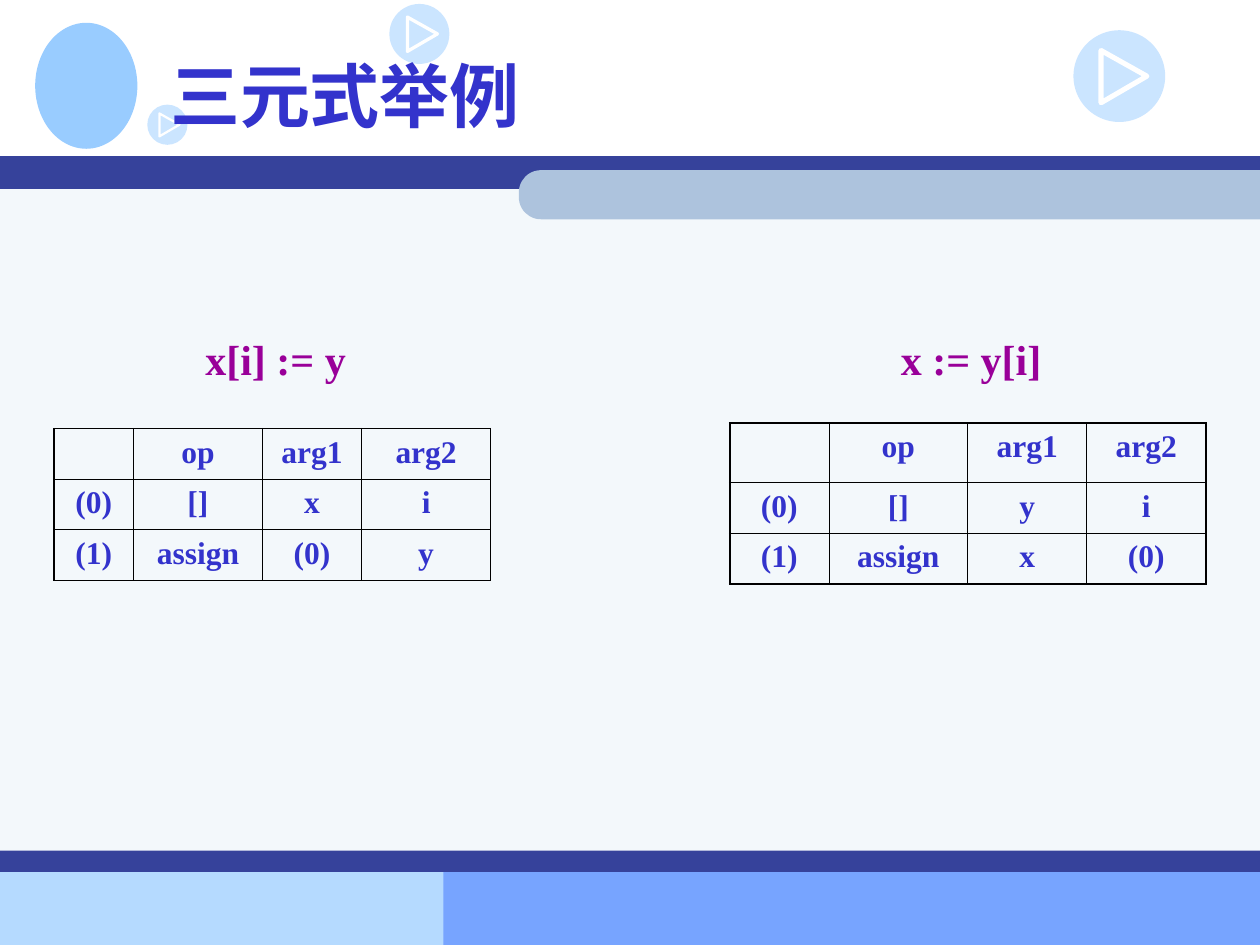
from typing import NamedTuple

import pptx
import pptx.dml.color
import pptx.enum.shapes
import pptx.enum.text
import pptx.oxml
import pptx.oxml.ns
import pptx.util
from lxml import etree

Cm = pptx.util.Cm
Pt = pptx.util.Pt
ShapeKind = pptx.enum.shapes.MSO_SHAPE

INDIGO = "3333CC"
NAVY = "36429B"
SKY = "99CCFF"
PURPLE = "990099"
WHITE = "FFFFFF"
BLACK = "000000"
LATIN = "Times New Roman"
CHINESE = "Noto Sans CJK SC"


class Box(NamedTuple):
    """Left, top, width and height in centimetres."""
    left: float
    top: float
    width: float
    height: float

    def lengths(self) -> list:
        return [Cm(value) for value in self]


class Panel(NamedTuple):
    box: Box
    color: str


class PlayButton(NamedTuple):
    left: float
    top: float
    diameter: float


class Label(NamedTuple):
    text: str
    box: Box
    size: float
    font: str
    color: str
    anchor: pptx.enum.text.MSO_ANCHOR


class TripleTable(NamedTuple):
    left: float
    top: float
    columns: list
    rows: list
    cells: list


PANELS = [
    Panel(Box(0, 17.58, 10.8, 1.47), "B5DAFF"),
    Panel(Box(8.94, 17.55, 16.46, 1.5), "77A4FF"),
    Panel(Box(0, 3.56, 25.4, 13.99), "F3F8FB"),
    Panel(Box(0, 3.15, 25.4, 0.66), NAVY),
    Panel(Box(0, 17.15, 25.4, 0.43), NAVY),
]
HEADER_TAB = Box(10.46, 3.43, 14.94, 0.99)
EMBLEM = Box(0.71, 0.46, 2.06, 2.54)
PLAY_BUTTONS = [
    PlayButton(7.85, 0.08, 1.21),
    PlayButton(21.64, 0.61, 1.85),
    PlayButton(2.97, 2.11, 0.81),
]
MIDDLE = pptx.enum.text.MSO_ANCHOR.MIDDLE
TOP = pptx.enum.text.MSO_ANCHOR.TOP
LABELS = [
    Label("三元式举例", Box(3.18, 0.43, 21.59, 2.97), 40, CHINESE, INDIGO, MIDDLE),
    Label("x[i] := y", Box(3.89, 6.6, 7, 1.27), 24, LATIN, PURPLE, TOP),
    Label("x := y[i]", Box(17.91, 6.6, 3.81, 1.27), 24, LATIN, PURPLE, TOP),
]
HEADINGS = ["", "op", "arg1", "arg2"]
TABLES = [
    TripleTable(1.09, 8.64, [1.6, 2.6, 2, 2.6], [1.02, 1.02, 1.02],
                [HEADINGS, ["(0)", "[]", "x", "i"], ["(1)", "assign", "(0)", "y"]]),
    TripleTable(14.71, 8.53, [2, 2.8, 2.4, 2.4], [1.2, 1.02, 1.02],
                [HEADINGS, ["(0)", "[]", "y", "i"], ["(1)", "assign", "x", "(0)"]]),
]


def rgb(color: str) -> pptx.dml.color.RGBColor:
    return pptx.dml.color.RGBColor.from_string(color)


def apply_format(target, values: dict) -> None:
    for name, value in values.items():
        setattr(target, name, value)


def style_font(font, size: float, name: str, color: str) -> None:
    apply_format(font, {"size": Pt(size), "name": name, "bold": True})
    font.color.rgb = rgb(color)


def add_filled(slide, kind, box: Box, color: str):
    shape = slide.shapes.add_shape(kind, *box.lengths())
    shape.shadow.inherit = False
    shape.fill.solid()
    shape.fill.fore_color.rgb = rgb(color)
    shape.line.fill.background()
    return shape


def add_header_tab(slide, box: Box, color: str) -> None:
    """Add a bar rounded on its left side, as an upright shape turned left."""
    upright = Box(box.left + (box.width - box.height) / 2,
                  box.top + (box.height - box.width) / 2, box.height, box.width)
    shape = add_filled(slide, ShapeKind.ROUND_2_SAME_RECTANGLE, upright, color)
    shape.adjustments[0] = 0.45
    shape.rotation = 270


def add_play_button(slide, button: PlayButton) -> None:
    left, top, diameter = button
    disc = add_filled(slide, ShapeKind.OVAL, Box(left, top, diameter, diameter), SKY)
    color_element = disc.fill._xPr.find(".//" + pptx.oxml.ns.qn("a:srgbClr"))
    etree.SubElement(color_element, pptx.oxml.ns.qn("a:alpha"), val="50000")

    corners = [(Cm(left + x * diameter), Cm(top + y * diameter))
               for x, y in [(0.3, 0.22), (0.8, 0.5), (0.3, 0.79)]]
    builder = slide.shapes.build_freeform(*corners[0])
    builder.add_line_segments(corners[1:], close=True)
    triangle = builder.convert_to_shape()
    triangle.shadow.inherit = False
    triangle.fill.background()
    triangle.line.color.rgb = rgb(WHITE)
    triangle.line.width = Cm(0.055 * diameter)
    etree.SubElement(triangle.line._get_or_add_ln(), pptx.oxml.ns.qn("a:round"))


def add_label(slide, label: Label) -> None:
    frame = slide.shapes.add_textbox(*label.box.lengths()).text_frame
    apply_format(frame, {"word_wrap": True, "vertical_anchor": label.anchor})
    run = frame.paragraphs[0].add_run()
    run.text = label.text
    style_font(run.font, label.size, label.font, label.color)
    etree.SubElement(run.font._element, pptx.oxml.ns.qn("a:ea"), typeface=label.font)


def set_border(cell, side: str, width: float) -> None:
    cell._tc.get_or_add_tcPr().append(pptx.oxml.parse_xml(
        f'<a:ln{side} {pptx.oxml.ns.nsdecls("a")} w="{Pt(width)}"><a:solidFill>'
        f'<a:srgbClr val="{BLACK}"/></a:solidFill></a:ln{side}>'))


def add_triple_table(slide, spec: TripleTable) -> None:
    last_row, last_column = len(spec.rows) - 1, len(spec.columns) - 1
    box = Box(spec.left, spec.top, sum(spec.columns), sum(spec.rows))
    table = slide.shapes.add_table(last_row + 1, last_column + 1, *box.lengths()).table
    apply_format(table, {"first_row": False, "horz_banding": False})
    for column, width in zip(table.columns, spec.columns):
        column.width = Cm(width)
    for row, height in zip(table.rows, spec.rows):
        row.height = Cm(height)
    for r, texts in enumerate(spec.cells):
        for c, text in enumerate(texts):
            cell = table.cell(r, c)
            cell.text = text
            paragraph = cell.text_frame.paragraphs[0]
            paragraph.alignment = pptx.enum.text.PP_ALIGN.CENTER
            style_font(paragraph.font, 18, LATIN, INDIGO)
            outer = {"L": c == 0, "R": c == last_column, "T": r == 0, "B": r == last_row}
            for side, is_outer in outer.items():
                set_border(cell, side, 1.08 if is_outer else 0.45)
            cell.fill.background()


def main() -> None:
    presentation = pptx.Presentation()
    apply_format(presentation, {"slide_width": Cm(25.4), "slide_height": Cm(19.05)})
    slide = presentation.slides.add_slide(presentation.slide_layouts[6])
    for panel in PANELS:
        add_filled(slide, ShapeKind.RECTANGLE, panel.box, panel.color)
    add_header_tab(slide, HEADER_TAB, "ADC3DD")
    add_filled(slide, ShapeKind.OVAL, EMBLEM, SKY)
    for button in PLAY_BUTTONS:
        add_play_button(slide, button)
    for label in LABELS:
        add_label(slide, label)
    for table in TABLES:
        add_triple_table(slide, table)
    presentation.save("out.pptx")


if __name__ == "__main__":
    main()
